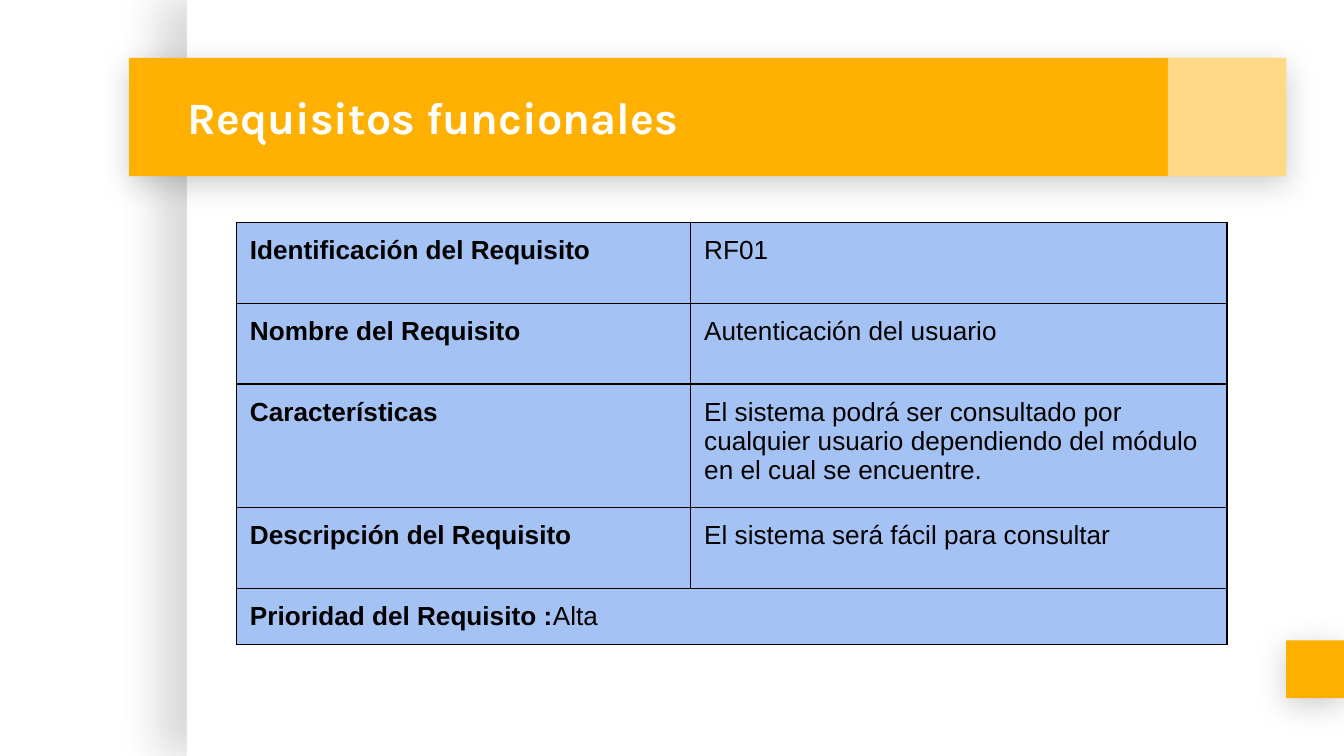
from dataclasses import dataclass

from lxml.etree import SubElement
from pptx import Presentation
from pptx.dml.color import RGBColor
from pptx.enum.shapes import MSO_SHAPE
from pptx.enum.text import MSO_ANCHOR, MSO_AUTO_SIZE, PP_ALIGN
from pptx.oxml.ns import qn
from pptx.util import Inches, Pt


@dataclass(frozen=True)
class Theme:
    gold: str = "FFB000"
    white: str = "FFFFFF"
    black: str = "000000"
    blue: str = "A4C2F4"
    head: str = "Karla"
    body: str = "Arial"
    big: int = 24
    text: int = 14
    rule: float = 0.75
    pad: float = 0.1


THEME = Theme()
WIDE = 10
HIGH = WIDE * 9 / 16

# Shadows: opacity %, blur pt, distance pt, angle
SIDE = (15, 22.5, 15, 180)
DROP = (20, 16.9, 3.8, 90)

# Table grid, in percent of the slide
LEFT, TOP = 17.6, 29.45
COLS = (33.8, 39.9)
ROWS = (10.67, 10.67, 16.36, 10.67)
LAST = 7.4

FACTS = (
    ("Identificación del Requisito", "RF01"),
    ("Nombre del Requisito", "Autenticación del usuario"),
    ("Características", "El sistema podrá ser consultado por cualquier usuario "
     "dependiendo del módulo en el cual se encuentre."),
    ("Descripción del Requisito", "El sistema será fácil para consultar"),
)


def across(share):
    return Inches(WIDE * share / 100)


def down(share):
    return Inches(HIGH * share / 100)


def place(x, y, w, h):
    return across(x), down(y), across(w), down(h)


def style(item, **values):
    for name, value in values.items():
        setattr(item, name, value)


def pads():
    return {f"margin_{side}": Inches(THEME.pad)
            for side in ("left", "right", "top", "bottom")}


def add_alpha(tone, share):
    SubElement(tone, qn("a:alpha"), val=str(share * 1000))


def add_block(slide, box, color, shade=None, alpha=None):
    """Plain rectangle with an optional shadow or transparency."""
    block = slide.shapes.add_shape(MSO_SHAPE.RECTANGLE, *place(*box))
    block.shadow.inherit = False
    block.fill.solid()
    block.fill.fore_color.rgb = RGBColor.from_string(color)
    block.line.fill.background()
    props = block._element.spPr
    if alpha:
        add_alpha(props.find(qn("a:solidFill")).find(qn("a:srgbClr")), alpha)
    if shade:
        dark, blur, dist, angle = shade
        cast = SubElement(props.find(qn("a:effectLst")), qn("a:outerShdw"),
                          blurRad=str(Pt(blur)), dist=str(Pt(dist)),
                          dir=str(angle * 60000), algn="bl", rotWithShape="0")
        add_alpha(SubElement(cast, qn("a:srgbClr"), val=THEME.black), dark)


def add_run(par, text, size, face, color, bold):
    run = par.add_run()
    run.text = text
    style(run.font, size=Pt(size), name=face, bold=bold)
    run.font.color.rgb = RGBColor.from_string(color)


def set_title(slide, text, box):
    title = slide.shapes.title
    slide.shapes._spTree.append(title._element)  # in front of the banner
    left, top, width, height = place(*box)
    style(title, left=left, top=top, width=width, height=height)
    frame = title.text_frame
    style(frame, auto_size=MSO_AUTO_SIZE.NONE, word_wrap=True,
          vertical_anchor=MSO_ANCHOR.MIDDLE, **pads())
    par = frame.paragraphs[0]
    par.alignment = PP_ALIGN.LEFT
    add_run(par, text, THEME.big, THEME.head, THEME.white, True)


def fill_cell(cell, runs):
    """Border, fill and (text, bold) runs of one cell."""
    style(cell, vertical_anchor=MSO_ANCHOR.TOP, **pads())
    props = cell._tc.get_or_add_tcPr()
    for side in ("lnL", "lnR", "lnT", "lnB"):
        edge = SubElement(props, qn(f"a:{side}"), w=str(Pt(THEME.rule)))
        ink = SubElement(edge, qn("a:solidFill"))
        SubElement(ink, qn("a:srgbClr"), val=THEME.black)
    cell.fill.solid()
    cell.fill.fore_color.rgb = RGBColor.from_string(THEME.blue)
    for text, bold in runs:
        add_run(cell.text_frame.paragraphs[0], text, THEME.text,
                THEME.body, THEME.black, bold)


def add_grid(slide, top, cols, rows, data):
    box = place(LEFT, top, sum(cols), sum(rows))
    table = slide.shapes.add_table(len(rows), len(cols), *box).table
    style(table, first_row=False, horz_banding=False)
    for col, share in zip(table.columns, cols):
        col.width = across(share)
    for row, share, line in zip(table.rows, rows, data):
        row.height = down(share)
        for cell, runs in zip(row.cells, line):
            fill_cell(cell, runs)


def main():
    deck = Presentation()
    style(deck, slide_width=Inches(WIDE), slide_height=Inches(HIGH))
    slide = deck.slides.add_slide(deck.slide_layouts[5])

    # Page panel, corner tab and banner
    add_block(slide, (13.9, 0, 86.1, 100), THEME.white, SIDE)
    add_block(slide, (95.7, 84.7, 4.3, 7.65), THEME.gold, DROP)
    add_block(slide, (9.6, 7.65, 86.1, 15.66), THEME.gold, DROP)
    add_block(slide, (86.9, 7.65, 8.8, 15.66), THEME.white, alpha=53)
    set_title(slide, "Requisitos funcionales", (12.95, 7.65, 73.7, 15.66))

    # Requirement facts, then the priority row right below
    facts = [[[(label, True)], [(value, False)]] for label, value in FACTS]
    add_grid(slide, TOP, COLS, ROWS, facts)
    rank = [("Prioridad del Requisito :", True), ("Alta", False)]
    add_grid(slide, TOP + sum(ROWS), (sum(COLS),), (LAST,), [[rank]])

    deck.save("out.pptx")


if __name__ == "__main__":
    main()
